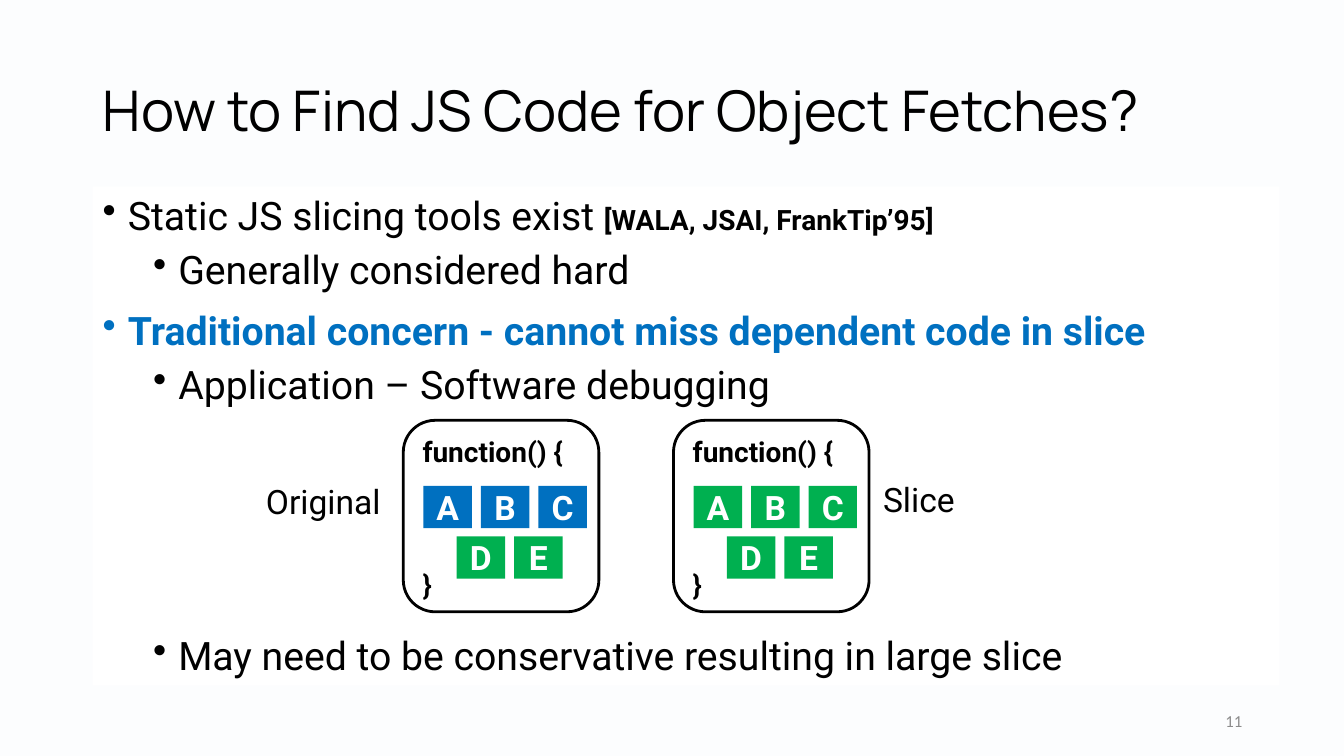
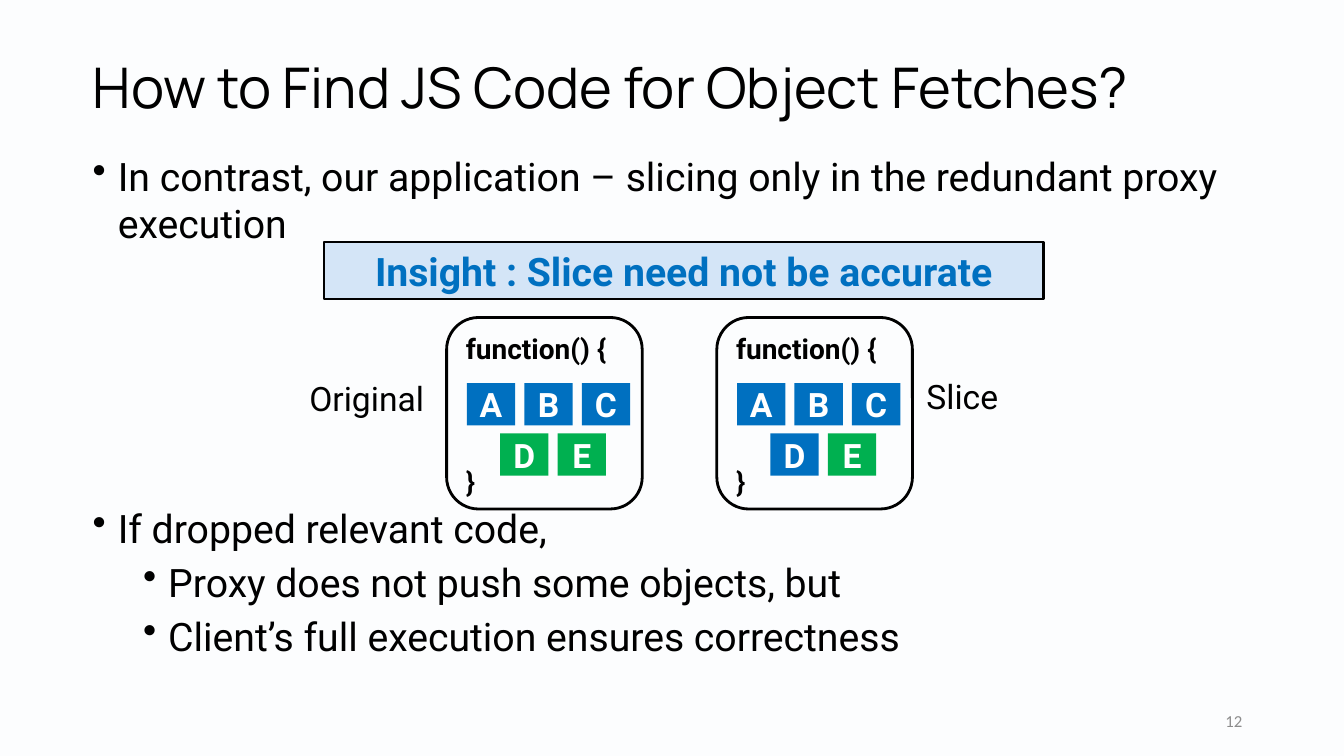
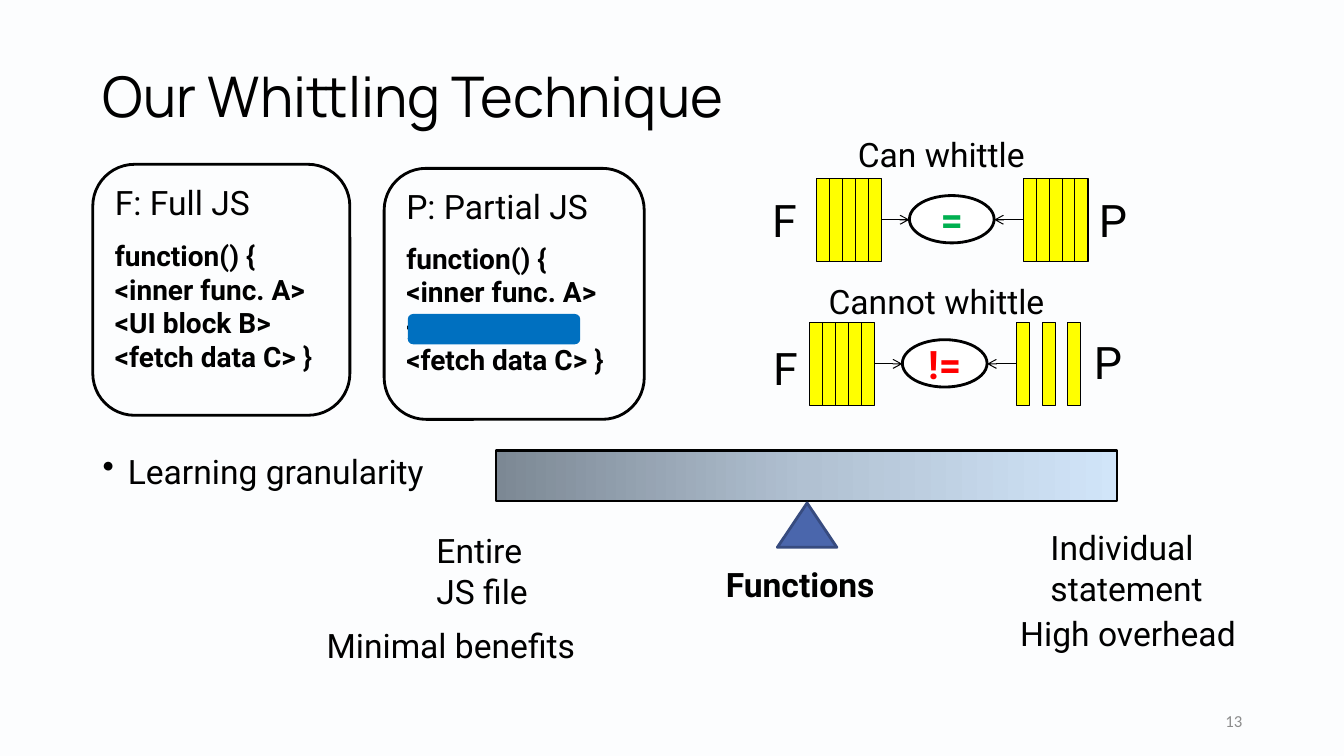
from copy import deepcopy
from dataclasses import dataclass

from lxml.etree import SubElement
from pptx import Presentation
from pptx.dml.color import RGBColor
from pptx.enum.shapes import MSO_CONNECTOR, MSO_SHAPE as Shape
from pptx.enum.text import MSO_ANCHOR as Anchor, PP_ALIGN as Align
from pptx.oxml.ns import qn
from pptx.util import Inches, Pt


@dataclass(frozen=True)
class Theme:
    page: str = "FCFDFE"
    ink: str = "000000"
    white: str = "FFFFFF"
    blue: str = "0070C0"
    green: str = "00B050"
    red: str = "FF0000"
    yellow: str = "FFFF00"
    pale_blue: str = "D4E5F7"
    pivot: str = "4A66AC"
    pivot_edge: str = "374B7F"
    number_grey: str = "8C8C8C"
    scale: tuple = ((0, "7C8894"), (0.5, "B1C1D2"), (1, "D1E5F9"))
    title_font: str = "Manrope"
    body_font: str = "Roboto"
    number_font: str = "Calibri"
    title_size: int = 40
    side_size: int = 32
    body_size: int = 28
    label_size: int = 24
    code_size: int = 20
    number_size: int = 12


T = Theme()


def draw(slide, kind, at, fill=None, line=None, weight=2):
    """Add a preset shape, or a text box when kind is None."""
    place = [Inches(v) for v in at]
    if kind is None:
        item = slide.shapes.add_textbox(*place)
    else:
        item = slide.shapes.add_shape(kind, *place)
        item.shadow.inherit = False
    if fill:
        item.fill.solid()
        item.fill.fore_color.rgb = RGBColor.from_string(fill)
    else:
        item.fill.background()
    if line:
        item.line.color.rgb = RGBColor.from_string(line)
        item.line.width = Pt(weight)
    else:
        item.line.fill.background()
    return item


def write(item, paragraphs, align=Align.LEFT, anchor=Anchor.TOP, wrap=True,
          font=T.body_font):
    """Fill with (space before, bullet indent, runs); a run is (text, size, colour, bold)."""
    frame = item.text_frame
    frame.word_wrap, frame.vertical_anchor = wrap, anchor
    for i, (before, indent, runs) in enumerate(paragraphs):
        para = frame.paragraphs[0] if i == 0 else frame.add_paragraph()
        para.alignment, para.space_before = align, Pt(before)
        if indent:
            props = para._p.get_or_add_pPr()
            props.set("marL", str(Inches(indent)))
            props.set("indent", str(Inches(-0.25)))
            SubElement(props, qn("a:buChar")).set("char", "•")
        for text, size, colour, bold in runs:
            run = para.add_run()
            run.text = text
            run.font.name, run.font.size, run.font.bold = font, Pt(size), bold
            run.font.color.rgb = RGBColor.from_string(colour)


# Slides with title and number
prs = Presentation()
prs.slide_width, prs.slide_height = Inches(13.33), Inches(7.5)
backdrop = prs.slide_master.background.fill
backdrop.solid()
backdrop.fore_color.rgb = RGBColor.from_string(T.page)

question = "How to Find JS Code for Object Fetches?"
for number, heading, at in (
    (11, question, (0.92, 0.4, 11.5, 1.45)),
    (12, question, (0.82, 0.37, 11.35, 1.05)),
    (13, "Our Whittling Technique", (0.92, 0.26, 11.5, 1.45)),
):
    slide = prs.slides.add_slide(prs.slide_layouts[5])
    title = slide.shapes.title
    title.left, title.top, title.width, title.height = map(Inches, at)
    write(title, [(0, 0, [(heading, T.title_size, T.ink, False)])],
          anchor=Anchor.MIDDLE, font=T.title_font)
    title.text_frame.paragraphs[0].line_spacing = 0.9
    write(draw(slide, None, (9.42, 6.95, 3, 0.4)),
          [(0, 0, [(str(number), T.number_size, T.number_grey, False)])],
          Align.RIGHT, Anchor.MIDDLE, font=T.number_font)
concern, insight, whittling = prs.slides

# Bullet lists; the large space before leaves room for the cards
for slide, at, fill, bullets in (
    (concern, (0.92, 1.85, 11.77, 4.95), T.white, (
        (10, 0.25, "Static JS slicing tools exist ", T.ink, False),
        (5, 0.75, "Generally considered hard", T.ink, False),
        (10, 0.25, "Traditional concern - cannot miss dependent code in slice",
         T.blue, True),
        (5, 0.75, "Application – Software debugging", T.ink, False),
        (160, 0.75, "May need to be conservative resulting in large slice",
         T.ink, False))),
    (insight, (0.82, 1.46, 11.99, 5.3), None, (
        (10, 0.25, "In contrast, our application – slicing only in the "
         "redundant proxy execution", T.ink, False),
        (184, 0.25, "If dropped relevant code,", T.ink, False),
        (5, 0.75, "Proxy does not push some objects, but", T.ink, False),
        (5, 0.75, "Client’s full execution ensures correctness", T.ink, False))),
):
    paragraphs = [(before, indent, [(text, T.body_size, colour, bold)])
                  for before, indent, text, colour, bold in bullets]
    if slide is concern:
        paragraphs[0][2].append(
            ("[WALA, JSAI, FrankTip’95]", T.code_size, T.ink, True))
    write(draw(slide, None, at, fill), paragraphs)

write(draw(insight, Shape.RECTANGLE, (3.21, 2.4, 7.14, 0.57), T.pale_blue, T.ink, 1.5),
      [(0, 0, [("Insight : Slice need not be accurate", T.body_size, T.blue, True)])],
      Align.CENTER, Anchor.MIDDLE)

# Original and sliced function cards, with the number of blue blocks in each
for slide, left, top, blue_counts in (
    (concern, 4, 4.17, (3, 0)),
    (insight, 4.43, 3.15, (3, 4)),
):
    for card, blue_count in enumerate(blue_counts):
        x = left + 2.68 * card
        write(draw(slide, Shape.ROUNDED_RECTANGLE, (x, top, 1.94, 1.9), line=T.ink),
              [(0, 0, [("function() {", T.code_size, T.ink, True)]),
               (71, 0, [("}", T.code_size, T.ink, True)])])
        for i, letter in enumerate("ABCDE"):
            row, column = divmod(i, 3)
            block = draw(slide, Shape.RECTANGLE,
                         (x + 0.2 + 0.33 * row + 0.57 * column,
                          top + 0.65 + 0.5 * row, 0.48, 0.42),
                         T.blue if i < blue_count else T.green)
            write(block, [(0, 0, [(letter, T.label_size, T.white, True)])],
                  Align.CENTER, Anchor.MIDDLE)
    for label, dx, dy, width in (("Slice", 4.66, 0.53, 0.93),
                                 ("Original", -1.46, 0.55, 1.36)):
        write(draw(slide, None, (left + dx, top + dy, width, 0.5)),
              [(0, 0, [(label, T.label_size, T.ink, False)])], wrap=False)

# Full and partial code
code = ("<inner func. A>", "<UI block B>", "<fetch data C> }")
for heading, at, gap in (("F: Full JS", (0.92, 1.63, 2.55, 2.49), 12),
                         ("P: Partial JS", (3.81, 1.67, 2.58, 2.49), 11)):
    write(draw(whittling, Shape.ROUNDED_RECTANGLE, at, line=T.ink),
          [(0, 0, [(heading, T.label_size, T.ink, False)]),
           (gap, 0, [("function() {", T.code_size, T.ink, True)])]
          + [(0, 0, [(text, T.code_size, T.ink, True)]) for text in code])
draw(whittling, Shape.ROUNDED_RECTANGLE, (4.05, 3.12, 1.7, 0.29), T.blue, T.blue, 0.75)

# Granularity scale on its pivot
write(draw(whittling, None, (0.92, 4.42, 3.9, 0.55)),
      [(0, 0.25, [("Learning granularity", T.label_size, T.ink, False)])])
scale = draw(whittling, Shape.RECTANGLE, (4.92, 4.47, 6.16, 0.5), line=T.ink, weight=1.5)
scale.fill.gradient()
scale.fill.gradient_angle = 0
stops = scale._element.spPr.find(qn("a:gradFill")).find(qn("a:gsLst"))
stops.append(deepcopy(stops[-1]))
for stop, (position, colour) in zip(scale.fill.gradient_stops, T.scale):
    stop.position = position
    stop.color.rgb = RGBColor.from_string(colour)
draw(whittling, Shape.ISOSCELES_TRIANGLE, (7.71, 4.99, 0.59, 0.44), T.pivot, T.pivot_edge)

# Labels of the scale and of the comparisons
for text, at, size, bold, wrap in (
    ("Functions", (7.1, 5.55, 1.81, 0.5), T.label_size, True, False),
    ("Entire JS file", (4.23, 5.21, 1.45, 0.91), T.label_size, False, True),
    ("Minimal benefits", (3.14, 6.15, 3.02, 0.5), T.label_size, False, True),
    ("Individual statement", (10.32, 5.18, 2.02, 0.91), T.label_size, False, True),
    ("High overhead", (10.02, 6.03, 3.02, 0.5), T.label_size, False, True),
    ("Can whittle", (8.41, 1.28, 1.87, 0.5), T.label_size, False, False),
    ("Cannot whittle", (8.12, 2.74, 2.34, 0.5), T.label_size, False, False),
    ("F", (7.56, 1.86, 0.48, 0.64), T.side_size, False, False),
    ("P", (10.8, 1.86, 0.5, 0.64), T.side_size, False, False),
    ("F", (7.57, 3.33, 0.48, 0.64), T.side_size, False, False),
    ("P", (10.75, 3.27, 0.5, 0.64), T.side_size, False, False),
):
    write(draw(whittling, None, at), [(0, 0, [(text, size, T.ink, bold)])], wrap=wrap)

# Comparisons: full stack, sign, partial stack
for left, top, sign, colour, kept in (
    (8.1, 1.77, "=", T.green, range(5)),
    (8.03, 3.2, "!=", T.red, range(0, 5, 2)),
):
    for start, bars in ((left, range(5)), (left + 2.05, kept)):
        for bar in bars:
            draw(whittling, Shape.RECTANGLE, (start + 0.64 * bar / 5, top, 0.13, 0.82),
                 T.yellow, T.ink, 0.75)
    verdict = draw(whittling, Shape.OVAL, (left + 0.92, top + 0.17, 0.84, 0.47),
                   T.white, T.ink)
    write(verdict, [(0, 0, [(sign, T.body_size, colour, True)])],
          Align.CENTER, Anchor.MIDDLE, wrap=False)
    y = Inches(top + 0.41)
    for begin, end in ((0.64, 0.92), (2.05, 1.76)):
        arrow = whittling.shapes.add_connector(
            MSO_CONNECTOR.STRAIGHT, Inches(left + begin), y, Inches(left + end), y)
        arrow.line.color.rgb = RGBColor.from_string(T.ink)
        arrow.line.width = Pt(0.75)
        SubElement(arrow.line._get_or_add_ln(), qn("a:tailEnd")).set("type", "arrow")
        SubElement(arrow._element.spPr, qn("a:effectLst"))

prs.save("out.pptx")
